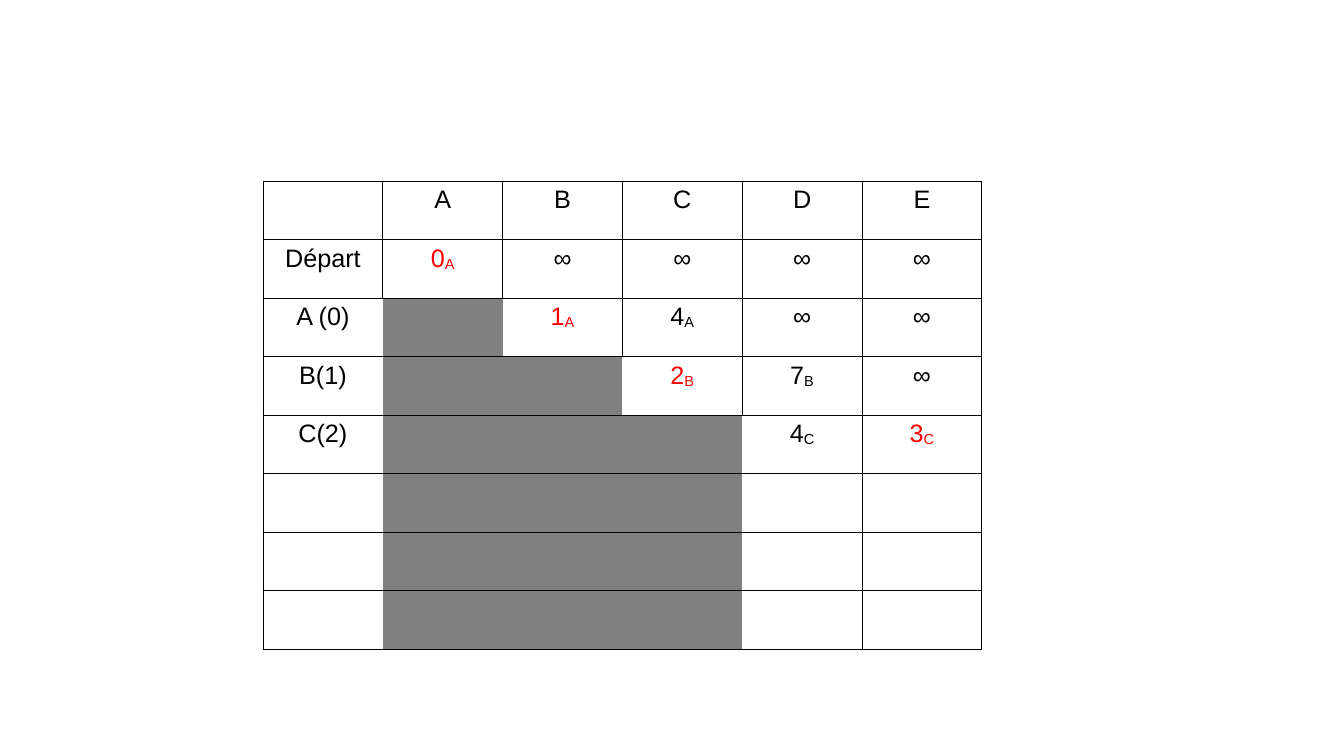
from lxml import etree
from pptx import Presentation
from pptx.dml.color import RGBColor
from pptx.enum.text import PP_ALIGN
from pptx.oxml.ns import qn
from pptx.util import Emu, Pt

CENTER = PP_ALIGN.CENTER
PX = 914400 / 100.8
COLORS = {"text": "000000", "chosen": "FF0000", "done": "808080", "line": "000000"}
LINE_WIDTH = Pt(0.57)

# Steps of the shortest-path search: "value_predecessor", "*" marks the chosen
# vertex, "#" a vertex already done
STEPS = [
    ["", "A", "B", "C", "D", "E"],
    ["Départ", "*0_A", "∞", "∞", "∞", "∞"],
    ["A (0)", "#", "*1_A", "4_A", "∞", "∞"],
    ["B(1)", "#", "#", "*2_B", "7_B", "∞"],
    ["C(2)", "#", "#", "#", "4_C", "*3_C"],
] + [["", "#", "#", "#", "", ""]] * 3


def px(n):
    return Emu(round(n * PX))


def rgb(name):
    return RGBColor.from_string(COLORS[name])


class Deck:
    def __init__(self, width, height):
        self.prs = Presentation()
        self.prs.slide_width, self.prs.slide_height = px(width), px(height)
        self.s = self.prs.slides.add_slide(self.prs.slide_layouts[6])
        self.font = {"name": "Arial", "size": Pt(18), "bold": False}
        self.margins = {"margin_left": px(4), "margin_right": px(4),
                        "margin_top": px(5), "margin_bottom": px(5)}

    def style(self, target, values):
        for key, value in values.items():
            setattr(target, key, value)

    def border(self, cell, side, visible):
        ln = etree.SubElement(cell._tc.get_or_add_tcPr(), qn(f"a:ln{side}"),
                              w=str(int(LINE_WIDTH)))
        if visible:
            fill = etree.SubElement(ln, qn("a:solidFill"))
            etree.SubElement(fill, qn("a:srgbClr"), val=COLORS["line"])
        else:
            etree.SubElement(ln, qn("a:noFill"))

    def text(self, cell, label):
        p = cell.text_frame.paragraphs[0]
        p.alignment = CENTER
        self.style(p.font, self.font)
        color = rgb("chosen" if label.startswith("*") else "text")
        value, _, predecessor = label.strip("*#").partition("_")
        for part, baseline in ((value, None), (predecessor, "-8000")):
            if part:
                r = p.add_run()
                r.text = part
                self.style(r.font, self.font)
                r.font.color.rgb = color
                if baseline:
                    r._r.get_or_add_rPr().set("baseline", baseline)

    def table(self, x, y, w, h, rows):
        frame = self.s.shapes.add_table(len(rows), len(rows[0]),
                                        px(x), px(y), px(w), px(h))
        table = frame.table
        self.style(table, {"first_row": False, "horz_banding": False})
        for i, row in enumerate(rows):
            for j, label in enumerate(row):
                cell = table.cell(i, j)
                self.style(cell, self.margins)
                # Done cells have no vertical edges
                left = "#" not in row[max(j - 1, 0):j + 1]
                right = "#" not in row[j:j + 2]
                for side, visible in zip("LRTB", (left, right, True, True)):
                    self.border(cell, side, visible)
                if label == "#":
                    cell.fill.solid()
                    cell.fill.fore_color.rgb = rgb("done")
                else:
                    cell.fill.background()
                self.text(cell, label)


def main():
    deck = Deck(1344, 756)
    deck.table(263, 181, 719, 468, STEPS)
    deck.prs.save("out.pptx")


if __name__ == "__main__":
    main()
